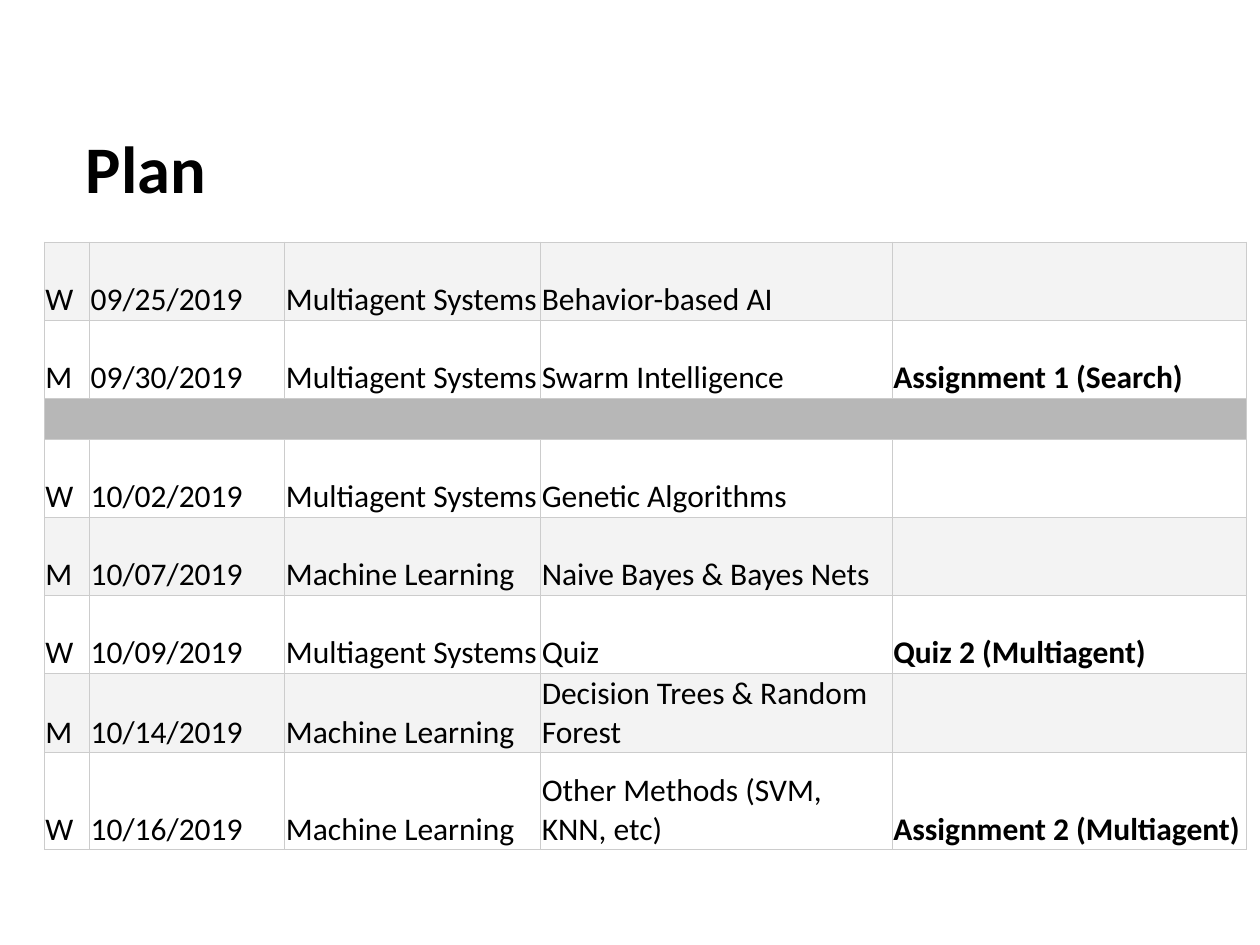
from dataclasses import dataclass

from lxml import etree
from pptx import Presentation
from pptx.dml.color import RGBColor
from pptx.enum.text import MSO_ANCHOR, MSO_AUTO_SIZE, PP_ALIGN
from pptx.oxml.ns import qn
from pptx.slide import Slide
from pptx.table import Table, _Cell
from pptx.text.text import TextFrame
from pptx.util import Inches, Pt

BOTTOM = MSO_ANCHOR.BOTTOM
LEFT = PP_ALIGN.LEFT
NO_AUTO_SIZE = MSO_AUTO_SIZE.NONE
TITLE_ONLY_LAYOUT = 5


@dataclass(frozen=True)
class Theme:
    font: str = "Calibri"
    text: str = "000000"
    plain: str = "FFFFFF"
    shaded: str = "F3F3F3"
    week_break: str = "B7B7B7"
    border: str = "CCCCCC"
    border_width: float = 0.38
    title_size: int = 38
    cell_size: int = 18


@dataclass(frozen=True)
class Session:
    day: str
    date: str
    unit: str
    topic: str
    due: str = ""
    height: float = 0.62

    def texts(self) -> tuple[str, ...]:
        return self.day, self.date, self.unit, self.topic, self.due


THEME = Theme()
AGENTS = "Multiagent Systems"
LEARNING = "Machine Learning"
COLUMN_WIDTHS = (0.36, 1.55, 2.03, 2.79, 2.81)
DUE_COLUMN = len(COLUMN_WIDTHS) - 1
BREAK_HEIGHT = 0.31
CELL_MARGIN = 0.01

# None stands for the grey break across the whole table.
SCHEDULE: tuple[Session | None, ...] = (
    Session("W", "09/25/2019", AGENTS, "Behavior-based AI"),
    Session("M", "09/30/2019", AGENTS, "Swarm Intelligence", "Assignment 1 (Search)"),
    None,
    Session("W", "10/02/2019", AGENTS, "Genetic Algorithms"),
    Session("M", "10/07/2019", LEARNING, "Naive Bayes & Bayes Nets"),
    Session("W", "10/09/2019", AGENTS, "Quiz", "Quiz 2 (Multiagent)"),
    Session("M", "10/14/2019", LEARNING, "Decision Trees & Random Forest"),
    Session("W", "10/16/2019", LEARNING, "Other Methods (SVM, KNN, etc)",
            "Assignment 2 (Multiagent)", height=0.77),
)


def write_text(frame: TextFrame, text: str, *, size: int, bold: bool = False) -> None:
    paragraph = frame.paragraphs[0]
    paragraph.alignment = LEFT
    run = paragraph.add_run()
    run.text = text
    run.font.name = THEME.font
    run.font.size = Pt(size)
    run.font.bold = bold
    run.font.color.rgb = RGBColor.from_string(THEME.text)


def format_cell(cell: _Cell, fill: str) -> None:
    """Set margins, anchor, borders and fill; borders must precede the fill in XML."""
    cell.margin_left = cell.margin_right = Inches(CELL_MARGIN)
    cell.margin_top = cell.margin_bottom = Inches(CELL_MARGIN)
    cell.vertical_anchor = BOTTOM
    properties = cell._tc.get_or_add_tcPr()
    for side in ("a:lnL", "a:lnR", "a:lnT", "a:lnB"):
        line = etree.SubElement(properties, qn(side), w=str(Pt(THEME.border_width)))
        line_fill = etree.SubElement(line, qn("a:solidFill"))
        etree.SubElement(line_fill, qn("a:srgbClr"), val=THEME.border)
    cell.fill.solid()
    cell.fill.fore_color.rgb = RGBColor.from_string(fill)


def fill_row(table: Table, index: int, session: Session | None) -> None:
    row = table.rows[index]
    if session is None:
        row.height = Inches(BREAK_HEIGHT)
        for cell in row.cells:
            format_cell(cell, THEME.week_break)
        table.cell(index, 0).merge(table.cell(index, DUE_COLUMN))
        return
    row.height = Inches(session.height)
    fill = THEME.plain if index % 2 else THEME.shaded
    for column, text in enumerate(session.texts()):
        cell = table.cell(index, column)
        format_cell(cell, fill)
        if text:
            write_text(cell.text_frame, text, size=THEME.cell_size,
                       bold=column == DUE_COLUMN)


def add_title(slide: Slide, text: str) -> None:
    title = slide.shapes.title
    title.left, title.top = Inches(0.63), Inches(0.33)
    title.width, title.height = Inches(8.75), Inches(1.33)
    frame = title.text_frame
    frame.auto_size = NO_AUTO_SIZE
    frame.vertical_anchor = BOTTOM
    frame.margin_left = frame.margin_right = Inches(0.05)
    frame.margin_top = frame.margin_bottom = Inches(0.02)
    write_text(frame, text, size=THEME.title_size, bold=True)


def add_schedule(slide: Slide) -> None:
    height = sum(session.height if session else BREAK_HEIGHT for session in SCHEDULE)
    table = slide.shapes.add_table(
        len(SCHEDULE), len(COLUMN_WIDTHS), Inches(0.35), Inches(1.92),
        Inches(sum(COLUMN_WIDTHS)), Inches(height)).table
    table.first_row = table.horz_banding = False
    for column, width in zip(table.columns, COLUMN_WIDTHS):
        column.width = Inches(width)
    for index, session in enumerate(SCHEDULE):
        fill_row(table, index, session)


def main() -> None:
    presentation = Presentation()
    presentation.slide_width, presentation.slide_height = Inches(10), Inches(7.5)
    slide = presentation.slides.add_slide(presentation.slide_layouts[TITLE_ONLY_LAYOUT])
    add_title(slide, "Plan")
    add_schedule(slide)
    presentation.save("out.pptx")


if __name__ == "__main__":
    main()
